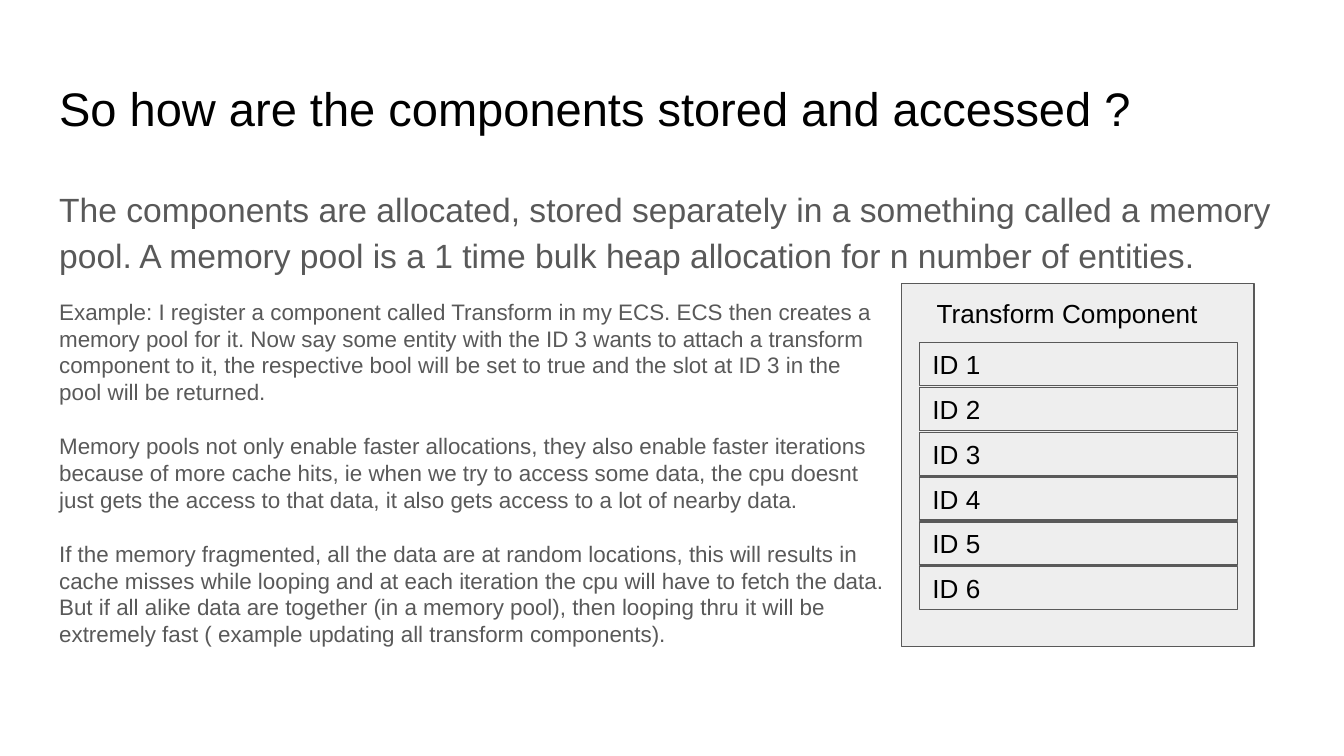
import pptx
import pptx.util
import pptx.dml.color
import pptx.enum.shapes
import pptx.enum.text
import pptx.oxml.ns
import lxml.etree

COLORS = {"black": "000000", "gray": "595959", "panel": "EEEEEE", "white": "FFFFFF"}
FONT = "Arial"
SLIDE_WIDTH = 10
SLIDE_HEIGHT = SLIDE_WIDTH * 9 / 16
MARGIN = 0.34
CONTENT_WIDTH = 9.32
ROW_LEFT, ROW_TOP, ROW_WIDTH, ROW_HEIGHT = 6.84, 2.55, 2.37, 0.32
ROW_PITCH = 1 / 3
ROW_COUNT = 6

TITLE = "So how are the components stored and accessed ?"
INTRODUCTION = (
    "The components are allocated, stored separately in a something called a memory "
    "pool. A memory pool is a 1 time bulk heap allocation for n number of entities."
)
DETAILS = [
    [
        "Example: I register a component called Transform in my ECS. ECS then creates a",
        "memory pool for it. Now say some entity with the ID 3 wants to attach a transform",
        "component to it, the respective bool will be set to true and the slot at ID 3 in the",
        "pool will be returned.",
    ],
    [
        "Memory pools not only enable faster allocations, they also enable faster iterations",
        "because of more cache hits, ie when we try to access some data, the cpu doesnt",
        "just gets the access to that data, it also gets access to a lot of nearby data.",
    ],
    [
        "If the memory fragmented, all the data are at random locations, this will results in",
        "cache misses while looping and at each iteration the cpu will have to fetch the data.",
        "But if all alike data are together (in a memory pool), then looping thru it will be",
        "extremely fast ( example updating all transform components).",
    ],
]


def rgb(name):
    return pptx.dml.color.RGBColor.from_string(COLORS[name])


def place(shape, left, top, width, height):
    shape.left, shape.top, shape.width, shape.height = (
        pptx.util.Inches(length) for length in (left, top, width, height)
    )


def prepare_frame(shape, anchor=pptx.enum.text.MSO_ANCHOR.TOP):
    frame = shape.text_frame
    frame.word_wrap = True
    frame.auto_size = pptx.enum.text.MSO_AUTO_SIZE.NONE
    frame.vertical_anchor = anchor
    frame.margin_left = frame.margin_right = pptx.util.Inches(0.1)
    frame.margin_top = frame.margin_bottom = pptx.util.Inches(0.1)
    return frame


def write_text(paragraph, text, size=14, color="black", spacing=1.0, before=0):
    paragraph.alignment = pptx.enum.text.PP_ALIGN.LEFT
    paragraph.line_spacing = spacing
    paragraph.space_before = pptx.util.Pt(before)
    paragraph.space_after = pptx.util.Pt(0)
    run = paragraph.add_run()
    run.text = text
    run.font.name = FONT
    run.font.size = pptx.util.Pt(size)
    run.font.color.rgb = rgb(color)


def remove_bullet(paragraph):
    properties = paragraph._p.get_or_add_pPr()
    properties.set("marL", "0")
    properties.set("indent", "0")
    lxml.etree.SubElement(properties, pptx.oxml.ns.qn("a:buNone"))


def add_title(slide):
    title = slide.shapes.title
    place(title, MARGIN, 0.49, CONTENT_WIDTH, 0.63)
    frame = prepare_frame(title, pptx.enum.text.MSO_ANCHOR.MIDDLE)
    write_text(frame.paragraphs[0], TITLE, size=25.2)


def add_body(slide):
    body = slide.placeholders[1]
    place(body, MARGIN, 1.26, CONTENT_WIDTH, 3.74)
    frame = prepare_frame(body)
    write_text(frame.paragraphs[0], INTRODUCTION, size=18, color="gray", spacing=1.15)
    for group_index, lines in enumerate(DETAILS):
        group_gap = 14.4 if group_index else 12
        for line_index, line in enumerate(lines):
            before = 0 if line_index else group_gap
            write_text(frame.add_paragraph(), line, size=12, color="gray", before=before)
    for paragraph in frame.paragraphs:
        remove_bullet(paragraph)


def add_box(slide, left, top, width, height, text=None):
    shape = slide.shapes.add_shape(pptx.enum.shapes.MSO_SHAPE.RECTANGLE, 0, 0, 0, 0)
    place(shape, left, top, width, height)
    shape.shadow.inherit = False
    shape.fill.solid()
    shape.fill.fore_color.rgb = rgb("panel")
    shape.line.color.rgb = rgb("gray")
    shape.line.width = pptx.util.Pt(0.75)
    if text:
        frame = prepare_frame(shape, pptx.enum.text.MSO_ANCHOR.MIDDLE)
        write_text(frame.paragraphs[0], text)


def add_label(slide, left, top, width, height, text):
    label = slide.shapes.add_textbox(0, 0, 0, 0)
    place(label, left, top, width, height)
    write_text(prepare_frame(label).paragraphs[0], text)


def add_memory_pool(slide):
    add_box(slide, 6.71, 2.11, 2.62, 2.7)
    for row in range(ROW_COUNT):
        add_box(slide, ROW_LEFT, ROW_TOP + row * ROW_PITCH, ROW_WIDTH, ROW_HEIGHT,
                text=f"ID {row + 1}")
    add_label(slide, 6.87, 2.11, 2.29, 0.44, "Transform Component")


def main():
    presentation = pptx.Presentation()
    presentation.slide_width = pptx.util.Inches(SLIDE_WIDTH)
    presentation.slide_height = pptx.util.Inches(SLIDE_HEIGHT)
    slide = presentation.slides.add_slide(presentation.slide_layouts[1])
    slide.background.fill.solid()
    slide.background.fill.fore_color.rgb = rgb("white")
    add_title(slide)
    add_body(slide)
    add_memory_pool(slide)
    presentation.save("out.pptx")


if __name__ == "__main__":
    main()
